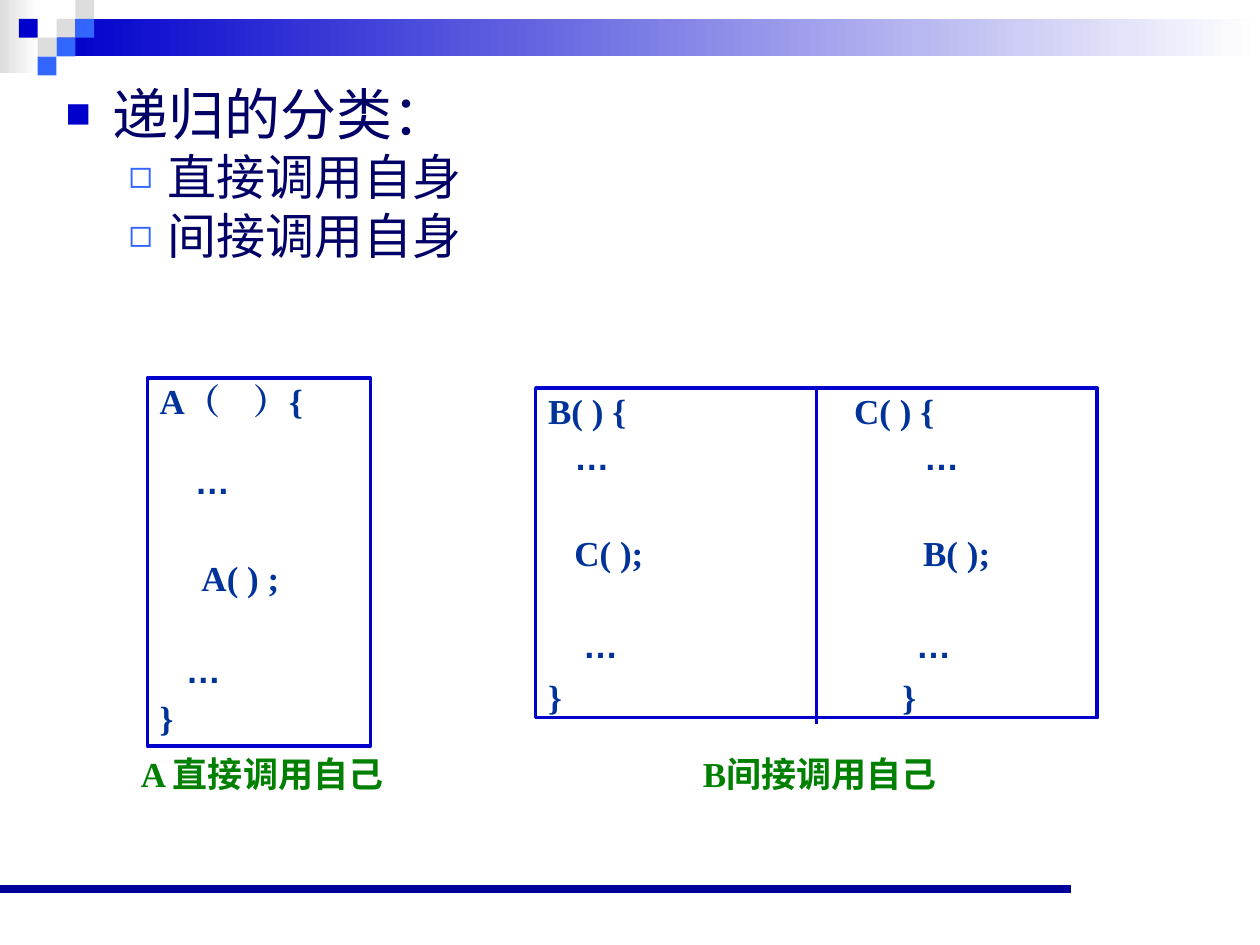
import pptx
import pptx.util
import pptx.dml.color
import pptx.enum.shapes
import pptx.enum.text
import pptx.oxml
import pptx.oxml.ns

Cm = pptx.util.Cm
Pt = pptx.util.Pt
RGB = pptx.dml.color.RGBColor.from_string
RECT = pptx.enum.shapes.MSO_SHAPE.RECTANGLE
LINE = pptx.enum.shapes.MSO_CONNECTOR.STRAIGHT
TOP = pptx.enum.text.MSO_ANCHOR.TOP
LEFT = pptx.enum.text.PP_ALIGN.LEFT
space = pptx.oxml.ns.nsdecls("a")

hues = {"navy": "000066", "blue": "0000CC", "sky": "3366FF", "gray": "DDDDDD",
        "white": "FFFFFF", "rule": "000099", "code": "003399", "green": "008000"}
serif, sans, hei = "Times New Roman", "Arial", "Noto Sans CJK SC"

deck = pptx.Presentation()
deck.slide_width, deck.slide_height = Cm(25.4), Cm(19.05)
slide = deck.slides.add_slide(deck.slide_layouts[1])
shapes = slide.shapes
title = shapes.title
title.element.getparent().remove(title.element)


def add_run(para, text, size, face, asian, hue, bold):
    run = para.add_run()
    run.text = text
    form = {"size": Pt(size), "name": face, "bold": bold}
    for key, value in form.items():
        setattr(run.font, key, value)
    run.font.color.rgb = RGB(hues[hue])
    east = pptx.oxml.parse_xml(f'<a:ea {space} typeface="{asian}"/>')
    run._r.rPr.find(pptx.oxml.ns.qn("a:latin")).addnext(east)


def add_line(x, y, end_x, end_y, hue, width):
    line = shapes.add_connector(LINE, Cm(x), Cm(y), Cm(end_x), Cm(end_y))
    line.line.color.rgb = RGB(hues[hue])
    line.line.width = Pt(width)
    line._element.spPr.append(pptx.oxml.parse_xml(f'<a:effectLst {space}/>'))
    return line


for x, y, wide, high, hue in [(0, 0, 0.78, 1.48, "gray"), (1.14, 0.38, 24.26, 0.76, "blue")]:
    band = shapes.add_shape(RECT, Cm(x), Cm(y), Cm(wide), Cm(high))
    band.shadow.inherit = False
    band.line.fill.background()
    band.fill.gradient()
    band.fill.gradient_angle = 0
    for stop, name in zip(band.fill.gradient_stops, (hue, "white")):
        stop.color.rgb = RGB(hues[name])

unit = 0.38
for col, row, hue in [(3, 1, "gray"), (4, 0, "gray"), (4, 1, "sky"), (2, 2, "gray"),
                      (1, 1, "blue"), (3, 2, "sky"), (2, 3, "sky")]:
    tile = shapes.add_shape(RECT, Cm(col * unit), Cm(row * unit), Cm(unit), Cm(unit))
    tile.shadow.inherit = False
    tile.fill.solid()
    tile.fill.fore_color.rgb = RGB(hues[hue])
    tile.line.fill.background()

add_line(0, 17.93, 21.6, 17.93, "rule", 4.5)

body = slide.placeholders[1]
place = {"left": Cm(1.07), "top": Cm(1.47), "width": Cm(24.33), "height": Cm(4.88)}
for key, value in place.items():
    setattr(body, key, value)
frame = body.text_frame
frame.vertical_anchor = TOP
levels = [{"size": 32, "left": 0.95, "hang": -0.95, "mark": "■", "hue": "blue", "part": 75},
          {"size": 28, "left": 2.06, "hang": -0.79, "mark": "◻", "hue": "sky", "part": 80}]
for num, (text, depth) in enumerate([("递归的分类：", 0), ("直接调用自身", 1), ("间接调用自身", 1)]):
    look = levels[depth]
    para = frame.add_paragraph() if num else frame.paragraphs[0]
    para.level = depth
    para.space_before = Pt(0)
    props = para._p.get_or_add_pPr()
    props.set("marL", str(Cm(look["left"])))
    props.set("indent", str(Cm(look["hang"])))
    for tag, inner in [("buClr", f'><a:srgbClr val="{hues[look["hue"]]}"/></a:buClr>'),
                       ("buSzPct", f' val="{look["part"] * 1000}"/>'),
                       ("buFont", f' typeface="{sans}"/>'),
                       ("buChar", f' char="{look["mark"]}"/>')]:
        props.append(pptx.oxml.parse_xml(f'<a:{tag} {space}{inner}'))
    add_run(para, text, look["size"], hei, hei, "navy", False)

codes = [
    (2.97, 7.62, 4.5, 7.42,
     [("A（\t）{", 0, 1.9), ("    …", 24, 0), ("     A( ) ;", 34, 0),
      ("   …", 31, 0), ("}", 6, 0)]),
    (10.8, 7.82, 11.32, 6.65,
     [("B( ) {\tC( ) {", 0, 6.17), ("   …\t…", 5, 7.58), ("   C( );\tB( );", 33, 7.56),
      ("    …\t…", 31, 7.42), ("}\t}", 8, 7.14)])]
for x, y, wide, high, rows in codes:
    box = shapes.add_shape(RECT, Cm(x), Cm(y), Cm(wide), Cm(high))
    box.shadow.inherit = False
    box.fill.background()
    box.line.color.rgb = RGB(hues["blue"])
    box.line.width = Pt(2)
    frame = box.text_frame
    frame.word_wrap = True
    frame.vertical_anchor = TOP
    for num, (text, gap, tab) in enumerate(rows):
        para = frame.add_paragraph() if num else frame.paragraphs[0]
        form = {"alignment": LEFT, "line_spacing": 0.9, "space_before": Pt(gap)}
        for key, value in form.items():
            setattr(para, key, value)
        if tab:
            para._p.get_or_add_pPr().append(pptx.oxml.parse_xml(
                f'<a:tabLst {space}><a:tab pos="{Cm(tab)}" algn="l"/></a:tabLst>'))
        code = text.lstrip(" ")
        lead = text[:len(text) - len(code)]
        if lead:
            add_run(para, lead, 20, serif, serif, "code", True)
        face = sans if "…" in code else serif
        add_run(para, code, 20, face, face, "code", True)

for x, wide, text in [(2.59, 6.63, "A 直接调用自己"), (13.92, 7.62, "B间接调用自己")]:
    label = shapes.add_textbox(Cm(x), Cm(15.04), Cm(wide), Cm(1.12))
    label.text_frame.word_wrap = True
    add_run(label.text_frame.paragraphs[0], text, 20, serif, hei, "green", True)

split = add_line(16.46, 7.82, 16.46, 14.6, "blue", 2)
split.begin_connect(box, 0)

deck.save("out.pptx")
